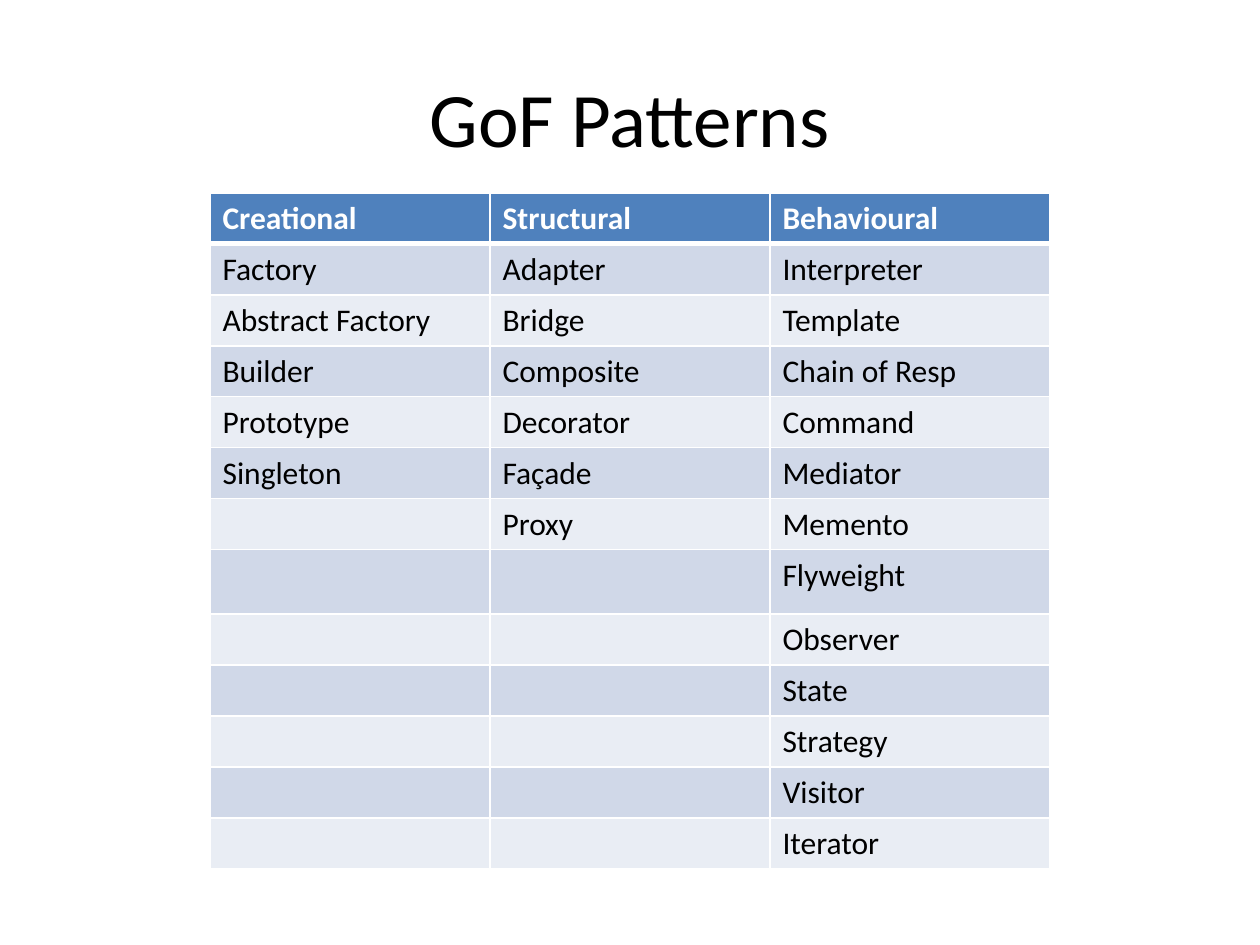
import itertools

import pptx
import pptx.dml.color
import pptx.enum.text
import pptx.oxml
import pptx.oxml.ns
import pptx.util


def colour(value):
    return pptx.dml.color.RGBColor.from_string(value)


class Deck:
    face = "Calibri"
    ink, paper, accent = "000000", "FFFFFF", "4F81BD"
    bands = ("D0D8E8", "E9EDF4")

    def __init__(self, width, height):
        self.file = pptx.Presentation()
        self.file.slide_width = pptx.util.Inches(width)
        self.file.slide_height = pptx.util.Inches(height)
        self.slide = self.file.slides.add_slide(self.file.slide_layouts[6])

    def place(self, left, top, width, height):
        across, down = self.file.slide_width, self.file.slide_height
        return [round(share * side) for share, side in
                ((left, across), (top, down), (width, across), (height, down))]

    def style(self, paragraph, size, ink, bold=False):
        font = paragraph.font
        font.name, font.size, font.bold = self.face, pptx.util.Pt(size), bold
        font.color.rgb = colour(ink)

    def title(self, words, area):
        frame = self.slide.shapes.add_textbox(*self.place(*area)).text_frame
        frame.word_wrap = True
        frame.vertical_anchor = pptx.enum.text.MSO_ANCHOR.MIDDLE
        heading = frame.paragraphs[0]
        heading.text = words
        heading.alignment = pptx.enum.text.PP_ALIGN.CENTER
        self.style(heading, 44, self.ink)

    def borders(self, cell, **widths):
        properties = cell._tc.get_or_add_tcPr()
        for position, side in enumerate("LRTB"):
            width = pptx.util.Pt(widths.get(side, 1))
            properties.insert(position, pptx.oxml.parse_xml(
                f'<a:ln{side} {pptx.oxml.ns.nsdecls("a")} w="{width}">'
                f'<a:solidFill><a:srgbClr val="{self.paper}"/></a:solidFill>'
                f'</a:ln{side}>'))

    def table(self, groups, area, tall_row, tall_share):
        rows = list(itertools.zip_longest(
            *([name, *members] for name, members in groups.items()), fillvalue=""))
        place = self.place(*area)
        grid = self.slide.shapes.add_table(len(rows), len(groups), *place).table
        tall = round(place[3] * tall_share)
        usual = (place[3] - tall) // (len(rows) - 1)
        for number, row in enumerate(rows):
            grid.rows[number].height = tall if number == tall_row else usual
            header = number == 0
            fill = self.accent if header else self.bands[(number - 1) % 2]
            rule = {0: {"B": 3}, 1: {"T": 3}}.get(number, {})
            for column, words in enumerate(row):
                cell = grid.cell(number, column)
                cell.text = words
                cell.fill.solid()
                cell.fill.fore_color.rgb = colour(fill)
                self.style(cell.text_frame.paragraphs[0], 18,
                           self.paper if header else self.ink, header)
                self.borders(cell, **rule)

    def save(self):
        self.file.save("out.pptx")


patterns = {
    "Creational": ["Factory", "Abstract Factory", "Builder", "Prototype", "Singleton"],
    "Structural": ["Adapter", "Bridge", "Composite", "Decorator", "Façade", "Proxy"],
    "Behavioural": ["Interpreter", "Template", "Chain of Resp", "Command", "Mediator",
                    "Memento", "Flyweight", "Observer", "State", "Strategy",
                    "Visitor", "Iterator"],
}

deck = Deck(10, 7.5)
deck.title("GoF Patterns", (0.05, 0.04, 0.9, 1 / 6))
deck.table(patterns, (1 / 6, 1.53 / 7.5, 2 / 3, 5.37 / 7.5),
           tall_row=patterns["Behavioural"].index("Flyweight") + 1, tall_share=0.51 / 5.37)
deck.save()
